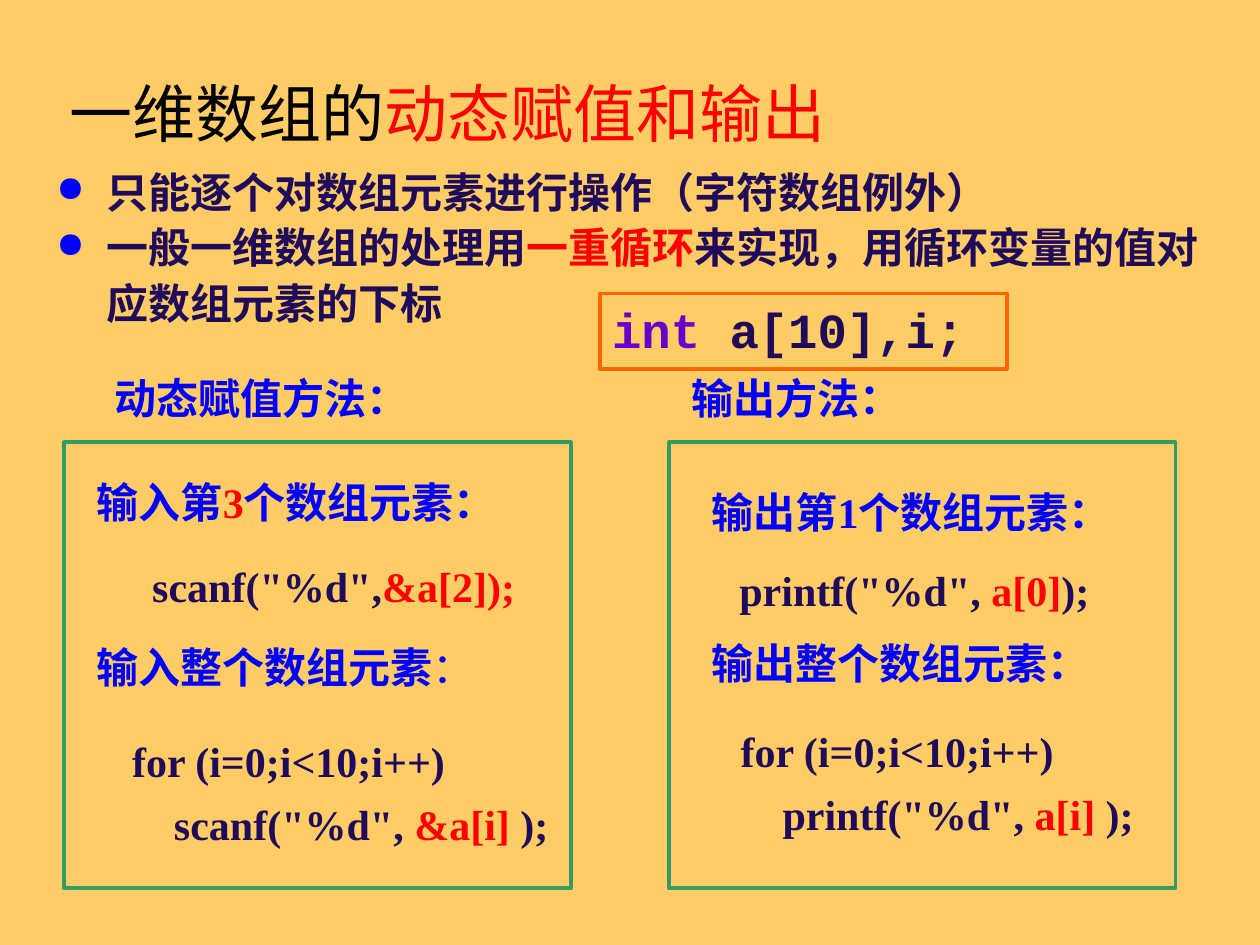
from lxml.etree import SubElement
from pptx import Presentation
from pptx.dml.color import RGBColor
from pptx.enum.shapes import MSO_SHAPE
from pptx.enum.text import MSO_ANCHOR, MSO_AUTO_SIZE, PP_ALIGN
from pptx.oxml.ns import qn
from pptx.util import Inches, Pt

COLORS = dict(bg="FFCC66", black="000000", ink="200B5B", blue="0000FF", red="FF0000",
              purple="6600CC", orange="FF6600", green="339966")
SERIF, MONO, CJK = "Times New Roman", "Courier New", "Noto Sans CJK SC"

# Content: a paragraph is a list of (text, colour) runs
TITLE = [("一维数组的", "black"), ("动态赋值和输出", "red")]
BULLETS = [
    [("只能逐个对数组元素进行操作（字符数组例外）", "ink")],
    [("一般一维数组的处理用", "ink"), ("一重循环", "red"),
     ("来实现，用循环变量的值对应数组元素的下标", "ink")],
]
DECLARATION = [("int ", "purple"), ("a[10],i;", "ink")]
LOOP = [("for (i=0;i<10;i++)", "ink")]

# (left, top, width, height), paragraphs, line spacing, wrap
LABELS = [
    ((0.81, 2.91, 2.69, 0.5), [[("动态赋值方法：", "blue")]], None, True),
    ((0.67, 3.73, 3.42, 0.5),
     [[("输入第", "blue"), ("3", "red"), ("个数组元素：", "blue")]], None, False),
    ((1.11, 4.4, 3.11, 0.5), [[('scanf("%d",', "ink"), ("&a[2]);", "red")]], None, False),
    ((0.67, 5.04, 3.3, 0.5),
     [[("输入整个数组元素", "blue"), ("：", "blue", False)]], None, True),
    ((0.95, 5.69, 3.54, 1.11),
     [LOOP, [('    scanf("%d", ', "ink"), ("&a[i] ", "red"), (");", "ink")]], 1.25, False),
    ((5.39, 2.91, 2.79, 0.5), [[("输出方法：", "blue")]], None, True),
    ((5.55, 3.81, 3.42, 0.5), [[("输出第1个数组元素：", "blue")]], None, False),
    ((5.77, 4.33, 3.25, 0.61),
     [[('printf("%d", ', "ink"), ("a[0]", "red"), (");", "ink")]], 1.25, True),
    ((5.55, 5.01, 3.39, 0.5), [[("输出整个数组元素：", "blue")]], None, True),
    ((5.78, 5.61, 3.35, 1.11),
     [LOOP, [('    printf("%d", ', "ink"), ("a[i]", "red"), (" );", "ink")]], 1.25, False),
]
FRAME_LEFTS = (0.51, 5.31)


def rgb(name):
    return RGBColor.from_string(COLORS[name])


def add_runs(p, runs, size=24, font=SERIF, bold=True):
    for text, color, *weight in runs:
        r = p.add_run()
        r.text = text
        r.font.size = Pt(size)
        r.font.name = font
        r.font.bold = weight[0] if weight else bold
        r.font.color.rgb = rgb(color)
        SubElement(r.font._element, qn("a:ea"), typeface=CJK)


def add_text(s, box, paragraphs, spacing=None, wrap=True):
    tf = s.shapes.add_textbox(*map(Inches, box)).text_frame
    tf.word_wrap = wrap
    tf.auto_size = MSO_AUTO_SIZE.SHAPE_TO_FIT_TEXT
    for i, runs in enumerate(paragraphs):
        p = tf.paragraphs[0] if i == 0 else tf.add_paragraph()
        if spacing:
            p.line_spacing = spacing
        add_runs(p, runs)
    return tf


def add_bullet(p):
    pPr = p._p.get_or_add_pPr()
    pPr.set("marL", str(Inches(0.4)))
    pPr.set("indent", str(-Inches(0.4)))
    SubElement(SubElement(pPr, qn("a:buClr")), qn("a:srgbClr"), val=COLORS["blue"])
    SubElement(pPr, qn("a:buSzPct"), val="85000")
    SubElement(pPr, qn("a:buChar"), char="●")


def add_frame(s, box, color):
    sp = s.shapes.add_shape(MSO_SHAPE.RECTANGLE, *map(Inches, box))
    sp.shadow.inherit = False
    sp.fill.background()
    sp.line.color.rgb = rgb(color)
    sp.line.width = Pt(2.25)
    return sp


prs = Presentation()
prs.slide_width, prs.slide_height = Inches(10), Inches(7.5)
s = prs.slides.add_slide(prs.slide_layouts[5])
s.background.fill.solid()
s.background.fill.fore_color.rgb = rgb("bg")

# Title
title = s.shapes.title
title.left, title.top, title.width, title.height = map(Inches, (0.45, 0.53, 9, 0.72))
tf = title.text_frame
tf.vertical_anchor = MSO_ANCHOR.MIDDLE
tf.auto_size = MSO_AUTO_SIZE.NONE
tf.paragraphs[0].alignment = PP_ALIGN.LEFT
add_runs(tf.paragraphs[0], TITLE, 36, CJK, False)

# Bullets
for p in add_text(s, (0.35, 1.23, 9.37, 1.42), BULLETS, 1.1).paragraphs:
    add_bullet(p)

# Array declaration
tf = add_frame(s, (4.76, 2.33, 3.23, 0.6), "orange").text_frame
tf.vertical_anchor = MSO_ANCHOR.TOP
tf.paragraphs[0].alignment = PP_ALIGN.LEFT
add_runs(tf.paragraphs[0], DECLARATION, 28, MONO)

# Input and output columns
for label in LABELS:
    add_text(s, *label)
for left in FRAME_LEFTS:
    add_frame(s, (left, 3.51, 4.02, 3.54), "green")

prs.save("out.pptx")
